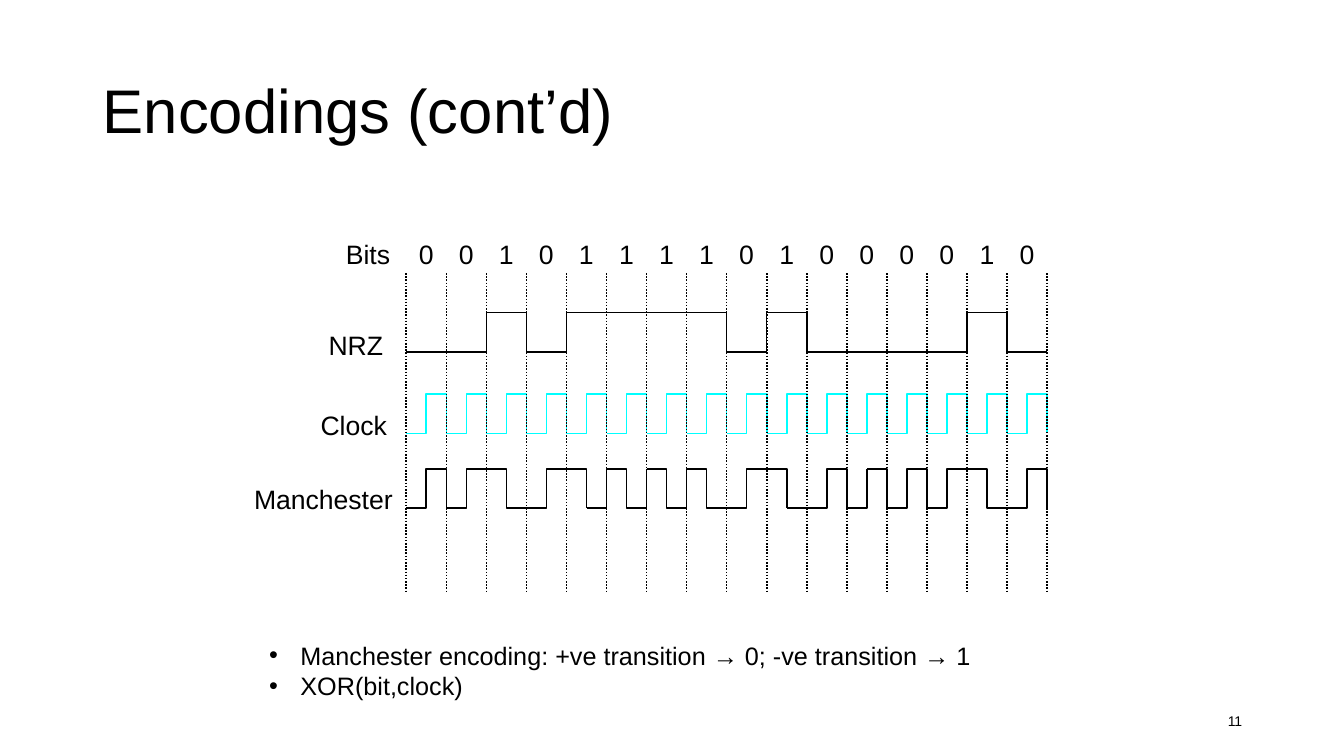
"""Build a slide that compares the NRZ, clock and Manchester signals of one bit string."""
import dataclasses
import itertools
import typing

import lxml.etree
import pptx
import pptx.dml.color
import pptx.enum.dml
import pptx.enum.shapes
import pptx.enum.text
import pptx.oxml.ns
import pptx.util

ALIGN = pptx.enum.text.PP_ALIGN
ANCHOR = pptx.enum.text.MSO_ANCHOR
AUTO = pptx.enum.text.MSO_AUTO_SIZE
SLIDE_W, SLIDE_H = pptx.util.Inches(13.33), pptx.util.Inches(7.5)


@dataclasses.dataclass(frozen=True)
class Theme:
    font: str = "Arial"
    ink: str = "000000"
    clock: str = "00FFFF"
    title: float = 44
    label: float = 19
    body: float = 18
    number: float = 10
    line: float = 1.13


class Box(typing.NamedTuple):
    """Place and size in percent of the slide."""
    left: float
    top: float
    width: float
    height: float


class Label(typing.NamedTuple):
    text: str
    box: Box


class Trace(typing.NamedTuple):
    """Signal levels per half bit, and the half bits where its pieces start and end."""
    top: float
    levels: list[int]
    cuts: typing.Sequence[int]
    color: str


THEME = Theme()
BITS = [0, 0, 1, 0, 1, 1, 1, 1, 0, 1, 0, 0, 0, 0, 1, 0]
HALVES = 2 * len(BITS)
AXIS_LEFT, BIT_W = 30.23, 2.98
GRID_TOP, GRID_BOTTOM = 36.13, 78.13
SWING = 5.2
BITS_TOP, LABEL_H, DIGIT_W = 31.47, 4.27, 1.12

LABELS = [
    Label("Bits", Box(25.73, BITS_TOP, 3.3, LABEL_H)),
    Label("NRZ", Box(24.45, 43.47, 4.13, LABEL_H)),
    Label("Clock", Box(23.85, 54.13, 5.03, LABEL_H)),
    Label("Manchester", Box(18.9, 63.87, 10.5, LABEL_H)),
]
CLOCK = [0, 1] * len(BITS)
NRZ = [bit for bit in BITS for _ in range(2)]
MANCHESTER = [bit ^ tick for bit, tick in zip(NRZ, CLOCK)]
TRACES = [
    Trace(62, MANCHESTER, (0, 2, 9, 12, 19, 23, HALVES), THEME.ink),
    Trace(41.33, NRZ, (0, HALVES), THEME.ink),
    Trace(52.13, CLOCK, range(0, HALVES + 1, 2), THEME.clock),
]


def x(share: float) -> int:
    """Turn percent of the slide's width into a length."""
    return round(SLIDE_W * share / 100)


def y(share: float) -> int:
    """Turn percent of the slide's height into a length."""
    return round(SLIDE_H * share / 100)


def place(sp, box: Box) -> None:
    """Move a shape to its box."""
    sp.left, sp.top = x(box.left), y(box.top)
    sp.width, sp.height = x(box.width), y(box.height)


def write(tf, *lines: str, size: float, align=ALIGN.LEFT, anchor=ANCHOR.TOP,
          wrap: bool = False, auto=AUTO.SHAPE_TO_FIT_TEXT, spacing: float = 1.0,
          margin: float | None = None, hang: float = 0) -> None:
    """Fill a text frame with one formatted paragraph per line."""
    tf.word_wrap, tf.auto_size, tf.vertical_anchor = wrap, auto, anchor
    if margin is not None:
        tf.margin_left = tf.margin_right = pptx.util.Inches(margin)
        tf.margin_top = tf.margin_bottom = pptx.util.Inches(margin)
    for i, line in enumerate(lines):
        p = tf.add_paragraph() if i else tf.paragraphs[0]
        p.alignment, p.line_spacing = align, spacing
        p.space_before = pptx.util.Pt(0)
        if hang:
            indent = pptx.util.Inches(hang)
            pPr = p._p.get_or_add_pPr()
            pPr.set("marL", str(indent))
            pPr.set("indent", str(-indent))
        r = p.add_run()
        r.text = line
        r.font.name, r.font.size = THEME.font, pptx.util.Pt(size)
        r.font.color.rgb = pptx.dml.color.RGBColor.from_string(THEME.ink)


def stroke(line, color: str) -> None:
    """Give a line the theme's width and a colour."""
    line.color.rgb = pptx.dml.color.RGBColor.from_string(color)
    line.width = pptx.util.Pt(THEME.line)


def add_label(slide, label: Label) -> None:
    """Add a diagram label without margins."""
    sp = slide.shapes.add_textbox(0, 0, 0, 0)
    write(sp.text_frame, label.text, size=THEME.label, margin=0)
    place(sp, label.box)


def add_trace(slide, trace: Trace) -> None:
    """Draw a signal, each piece ending with the step to the next level."""
    levels = trace.levels + [0]

    def point(half: int, level: int) -> tuple[int, int]:
        return x(AXIS_LEFT + half * BIT_W / 2), y(trace.top + SWING * (1 - level))

    for start, end in itertools.pairwise(trace.cuts):
        points = [point(half + step, levels[half])
                  for half in range(start, end) for step in (0, 1)]
        points.append(point(end, levels[end]))
        builder = slide.shapes.build_freeform(*points[0])
        builder.add_line_segments(points[1:], close=False)
        sp = builder.convert_to_shape()
        sp.shadow.inherit = False
        sp.fill.background()
        stroke(sp.line, trace.color)


def add_bit_border(slide, column: int) -> None:
    """Draw the dotted line at the left of a bit column."""
    left = x(AXIS_LEFT + column * BIT_W)
    sp = slide.shapes.add_connector(pptx.enum.shapes.MSO_CONNECTOR.STRAIGHT,
                                    left, y(GRID_TOP), left, y(GRID_BOTTOM))
    stroke(sp.line, THEME.ink)
    sp.line.dash_style = pptx.enum.dml.MSO_LINE.ROUND_DOT
    lxml.etree.SubElement(sp._element.spPr, pptx.oxml.ns.qn("a:effectLst"))


def main() -> None:
    """Build and save the slide."""
    prs = pptx.Presentation()
    prs.slide_width, prs.slide_height = SLIDE_W, SLIDE_H
    slide = prs.slides.add_slide(prs.slide_layouts[1])
    title, body = slide.placeholders
    write(title.text_frame, "Encodings (cont’d)", size=THEME.title, anchor=ANCHOR.MIDDLE,
          wrap=True, auto=AUTO.NONE, spacing=0.9)
    place(title, Box(6.9, 5.33, 86.27, 19.33))
    write(body.text_frame, "Manchester encoding: +ve transition → 0; -ve transition → 1",
          "XOR(bit,clock)", size=THEME.body, hang=0.31)
    place(body, Box(19.28, 84, 54.69, 9.47))

    number = slide.shapes.add_textbox(0, 0, 0, 0)
    write(number.text_frame, "11", size=THEME.number, align=ALIGN.RIGHT,
          anchor=ANCHOR.MIDDLE, wrap=True, auto=AUTO.NONE)
    place(number, Box(70.67, 92.67, 22.5, 5.33))

    digits = [Label(str(bit), Box(AXIS_LEFT + (i + 0.5) * BIT_W - DIGIT_W / 2,
                                  BITS_TOP, DIGIT_W, LABEL_H))
              for i, bit in enumerate(BITS)]
    for label in LABELS + digits:
        add_label(slide, label)
    for trace in TRACES:
        add_trace(slide, trace)
    for column in range(len(BITS) + 1):
        add_bit_border(slide, column)
    prs.save("out.pptx")


if __name__ == "__main__":
    main()
